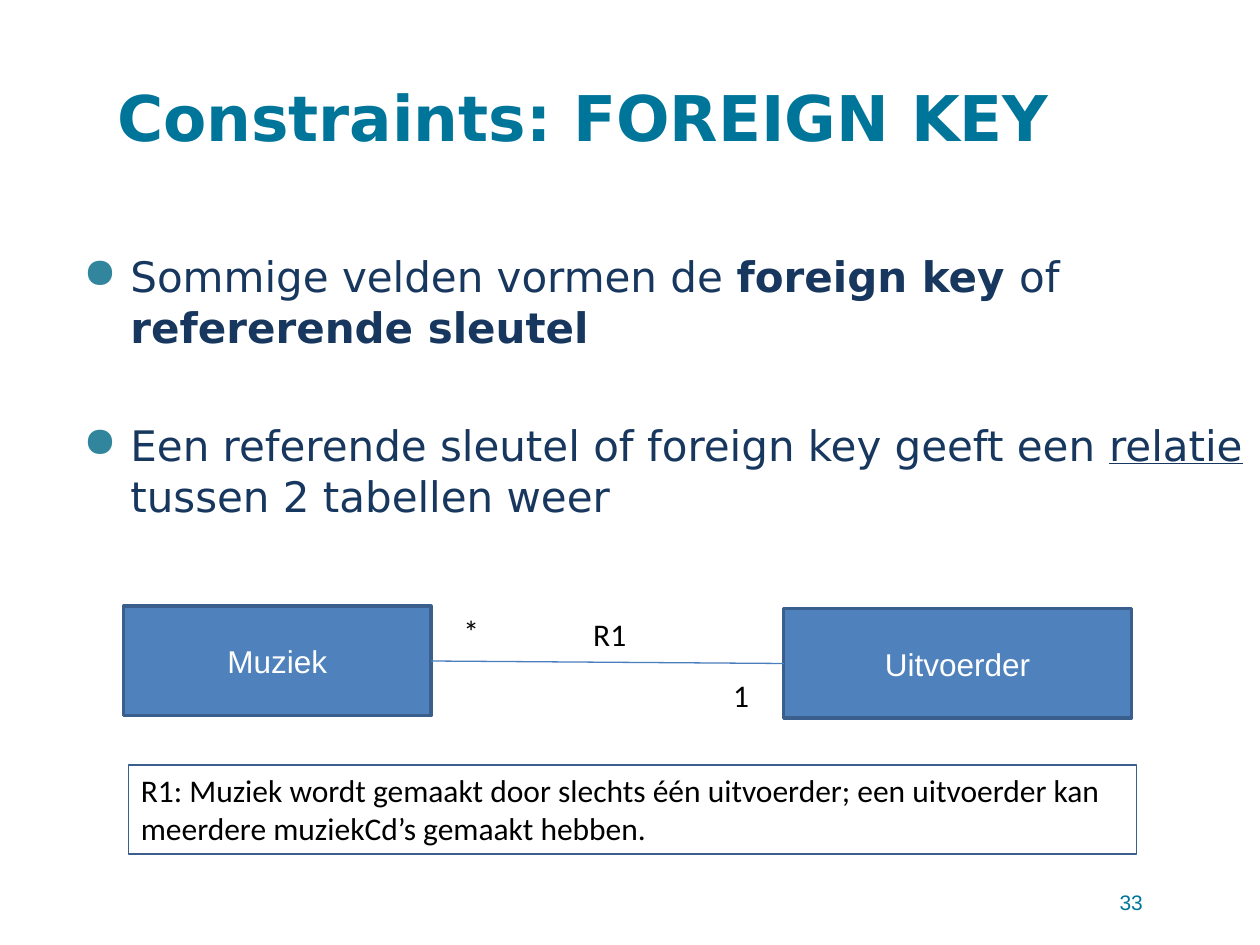
from lxml import etree
from pptx import Presentation
from pptx.dml.color import RGBColor
from pptx.enum.shapes import MSO_CONNECTOR, MSO_SHAPE
from pptx.enum.text import MSO_ANCHOR, PP_ALIGN
from pptx.oxml.ns import qn
from pptx.util import Cm, Pt

RECT, LINE = MSO_SHAPE.RECTANGLE, MSO_CONNECTOR.STRAIGHT
TOP, MID = MSO_ANCHOR.TOP, MSO_ANCHOR.MIDDLE
LEFT, MIDDLE, RIGHT = PP_ALIGN.LEFT, PP_ALIGN.CENTER, PP_ALIGN.RIGHT

COLORS = {
    "teal": "00759A", "navy": "17375E", "dot": "31859C", "box": "4F81BD",
    "edge": "3A5F8C", "link": "4B7EBC", "white": "FFFFFF", "black": "000000",
}
HEAD, BOX, NOTE = "DejaVu Sans", "Arial", "Calibri"


def rgb(name):
    return RGBColor.from_string(COLORS[name])


class Page:
    """Holds the current slide and draws each kind of element in one style."""

    def __init__(self, slide):
        self.shapes = slide.shapes

    def font(self, para, face, size, color, bold=False):
        font = para.font
        font.name, font.size, font.bold = face, Pt(size), bold
        font.color.rgb = rgb(color)

    def label(self, shape, text, face, size, color, align=LEFT, anchor=TOP, bold=False):
        frame = shape.text_frame
        frame.word_wrap = True
        frame.vertical_anchor = anchor
        para = frame.paragraphs[0]
        para.text, para.alignment = text, align
        self.font(para, face, size, color, bold)

    def text(self, at, *args, **style):
        box = self.shapes.add_textbox(*map(Cm, at))
        self.label(box, *args, **style)

    def rect(self, at, text, face, color, width, fill=None, **style):
        box = self.shapes.add_shape(RECT, *map(Cm, at))
        box.shadow.inherit = False
        if fill:
            box.fill.solid()
            box.fill.fore_color.rgb = rgb(fill)
        else:
            box.fill.background()
        box.line.color.rgb = rgb("edge")
        box.line.width = Pt(width)
        self.label(box, text, face, 18, color, **style)
        return box

    def link(self, start, end):
        line = self.shapes.add_connector(LINE, 0, 0, 0, 0)
        line.begin_connect(start, 3)
        line.end_connect(end, 1)
        line.line.color.rgb = rgb("link")
        line.line.width = Pt(0.75)
        etree.SubElement(line._element.spPr, qn("a:effectLst"))

    def bullets(self, at, items, gap):
        frame = self.shapes.add_textbox(*map(Cm, at)).text_frame
        frame.word_wrap = True
        for i, parts in enumerate(items):
            para = frame.add_paragraph() if i else frame.paragraphs[0]
            para.space_before = Pt(gap if i else 0)
            self.font(para, HEAD, 24, "navy")
            for text, mark in parts:
                run = para.add_run()
                run.text = text
                if mark == "bold":
                    run.font.bold = True
                elif mark == "under":
                    run.font.underline = True
            self.dot(para)

    def dot(self, para):
        props = para._p.get_or_add_pPr()
        props.set("marL", str(Cm(1.11)))
        props.set("indent", str(Cm(-0.95)))
        color = etree.Element(qn("a:buClr"))
        etree.SubElement(color, qn("a:srgbClr"), val=COLORS["dot"])
        sign = etree.Element(qn("a:buChar"), char="●")
        # Bullet marks must stand before the default run style
        style = props.find(qn("a:defRPr"))
        style.addprevious(color)
        style.addprevious(sign)


def main():
    deck = Presentation()
    deck.slide_width, deck.slide_height = Cm(25.4), Cm(19.05)
    page = Page(deck.slides.add_slide(deck.slide_layouts[6]))

    # Title
    page.text((2.11, 0.76, 22.02, 3.18), "Constraints: FOREIGN KEY",
              HEAD, 36, "teal", anchor=MID, bold=True)

    # Bullets
    page.bullets((1.27, 4.93, 24.13, 11), [
        [("Sommige velden vormen de ", ""), ("foreign key ", "bold"),
         ("of ", ""), ("refererende sleutel", "bold")],
        [("Een referende sleutel of foreign key geeft een ", ""),
         ("relatie", "under"), (" tussen 2 tabellen weer", "")],
    ], gap=39)

    # Two tables and their relation
    look = dict(face=BOX, color="white", width=2, fill="box", align=MIDDLE, anchor=MID)
    music = page.rect((2.49, 12.22, 6.2, 2.21), "Muziek", **look)
    artist = page.rect((15.8, 12.27, 7.01, 2.21), "Uitvoerder", **look)
    page.link(music, artist)
    for left, top, text in [(9.09, 12.22, "*"), (14.53, 13.51, "1"), (11.71, 12.27, "R1")]:
        page.text((left, top, 1.22, 1.02), text, NOTE, 18, "black")

    # Note on the relation
    page.rect((2.59, 15.42, 20.32, 1.8),
              "R1: Muziek wordt gemaakt door slechts één uitvoerder; "
              "een uitvoerder kan meerdere muziekCd’s gemaakt hebben.",
              NOTE, "black", 0.75)

    # Page number
    page.text((17.37, 17.68, 5.92, 1.02), "33", BOX, 12, "teal", align=RIGHT, anchor=MID)

    deck.save("out.pptx")


if __name__ == "__main__":
    main()
